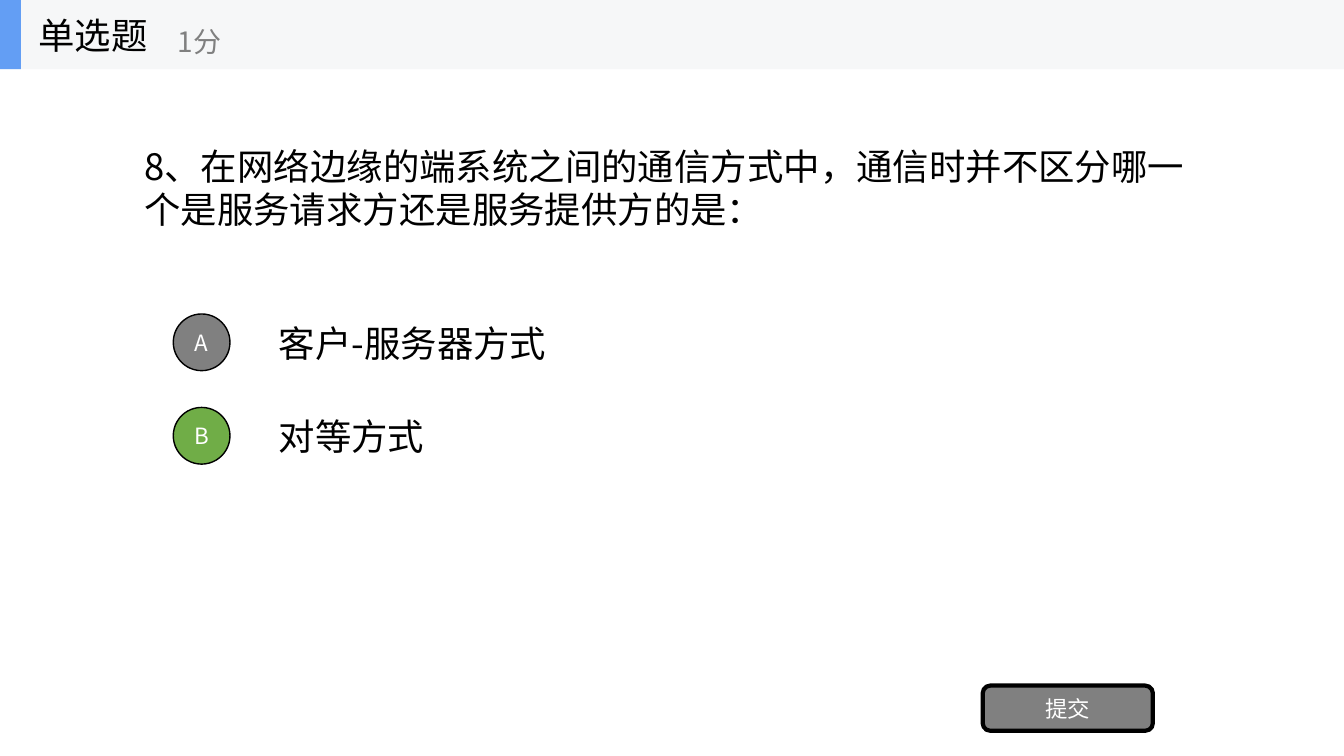
import pptx
import pptx.util
import pptx.dml.color
import pptx.enum.shapes
import pptx.enum.text
import pptx.oxml.ns
import lxml.etree

FONT = "Noto Sans CJK SC"
HUE = {
    "black": "000000",
    "white": "FFFFFF",
    "gray": "808080",
    "green": "70AD47",
    "blue": "639EF4",
    "pale": "F6F7F8",
}
TITLE = "单选题"
SCORE = "1分"
ASK = "8、在网络边缘的端系统之间的通信方式中，通信时并不区分哪一个是服务请求方还是服务提供方的是："
PICKS = [("A", "客户-服务器方式", "gray"), ("B", "对等方式", "green")]
SEND = "提交"

PX = 9525
WIDE, HIGH = 1280, 720
BAR = 66
TOP, STEP, ROW = 293, 89, 67
DOT = 54
KIND = pptx.enum.shapes.MSO_SHAPE
ALIGN = pptx.enum.text.PP_ALIGN


def color(name):
    return pptx.dml.color.RGBColor.from_string(HUE[name])


def write(shape, text, size, hue, align=ALIGN.LEFT, wrap=True):
    frame = shape.text_frame
    frame.text = text
    frame.word_wrap = wrap
    frame.vertical_anchor = pptx.enum.text.MSO_ANCHOR.MIDDLE
    para = frame.paragraphs[0]
    para.alignment = align
    for run in para.runs:
        run.font.size = pptx.util.Pt(size)
        run.font.name = FONT
        run.font.color.rgb = color(hue)
        east = lxml.etree.SubElement(run.font._element, pptx.oxml.ns.qn("a:ea"))
        east.set("typeface", FONT)


def label(group, box, text, size, hue="black", wrap=True):
    shape = group.add_textbox(*[n * PX for n in box])
    write(shape, text, size, hue, wrap=wrap)


def block(group, kind, box, fill, line=0, text=""):
    shape = group.add_shape(kind, *[n * PX for n in box])
    shape.shadow.inherit = False
    shape.fill.solid()
    shape.fill.fore_color.rgb = color(fill)
    if line:
        shape.line.color.rgb = color("black")
        shape.line.width = pptx.util.Pt(line)
    else:
        shape.line.fill.background()
    if text:
        write(shape, text, 16, "white", ALIGN.CENTER, wrap=False)


def main():
    deck = pptx.Presentation()
    deck.slide_width, deck.slide_height = WIDE * PX, HIGH * PX
    page = deck.slides.add_slide(deck.slide_layouts[6]).shapes

    label(page, (128, 66, 1024, 225), ASK, 26)
    for i, (mark, text, fill) in enumerate(PICKS):
        y = TOP + i * STEP
        label(page, (256, y, 896, ROW), text, 26)
        block(page, KIND.OVAL, (165, y + (ROW - DOT) // 2, DOT, DOT), fill, 1, mark)
    block(page, KIND.ROUNDED_RECTANGLE, (936, 653, 162, 43), "gray", 3, SEND)

    head = page.add_group_shape().shapes
    block(head, KIND.RECTANGLE, (0, 0, WIDE, BAR), "pale")
    block(head, KIND.RECTANGLE, (0, 0, 20, BAR), "blue")
    label(head, (27, 0, 200, BAR), TITLE, 26, wrap=False)
    label(head, (160, 12, 240, 54), SCORE, 20, "gray", wrap=False)

    deck.save("out.pptx")


if __name__ == "__main__":
    main()
